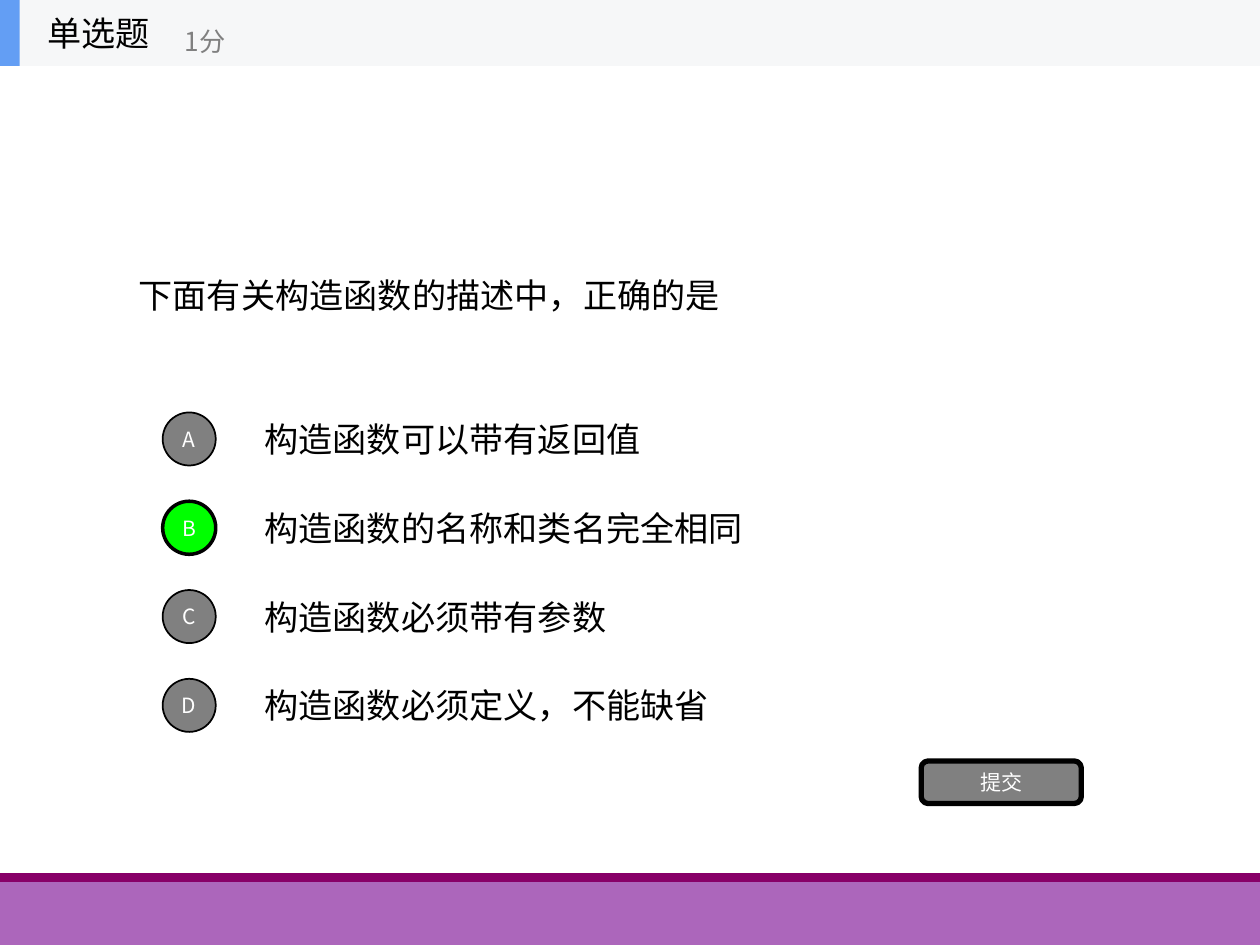
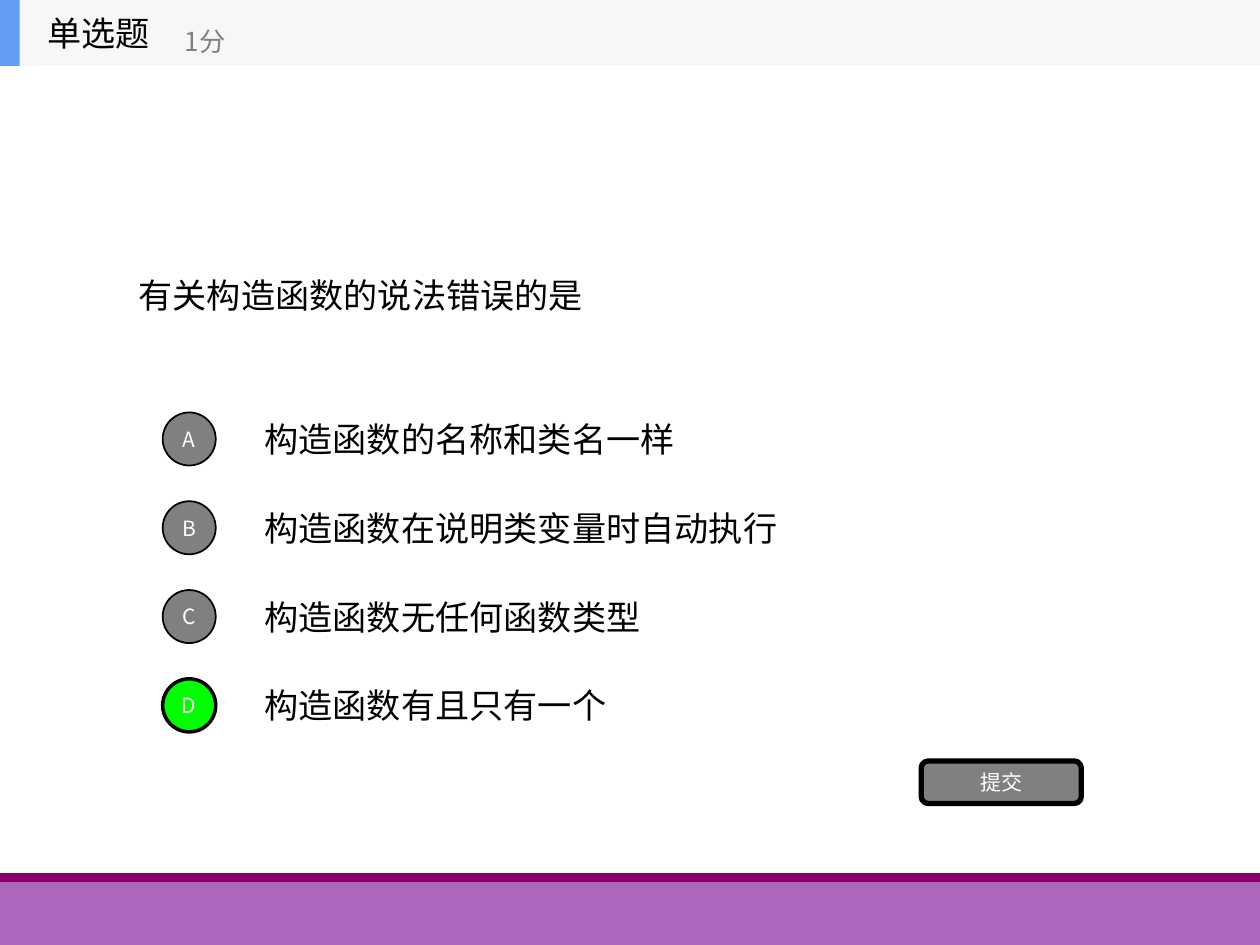
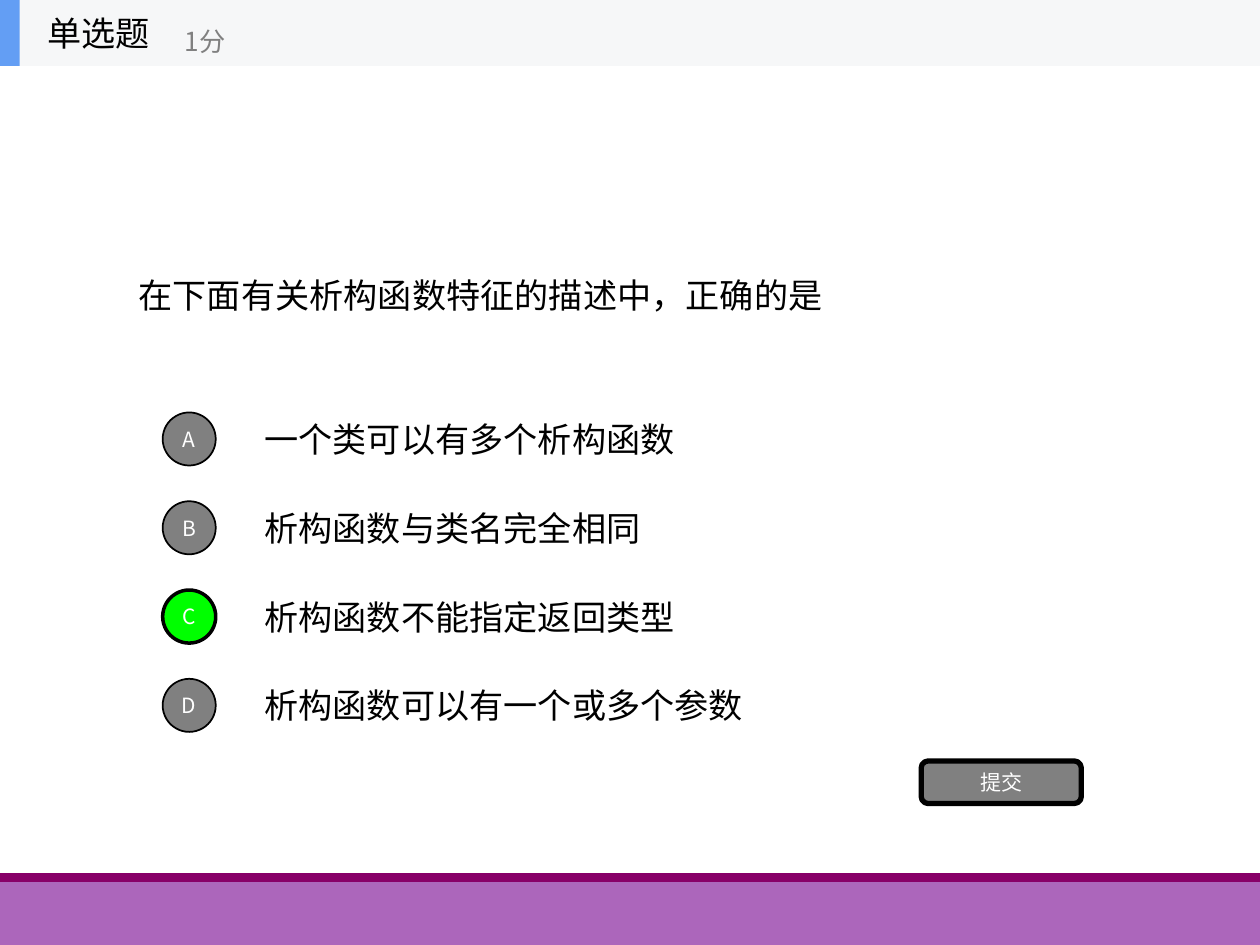
from lxml.etree import SubElement
from pptx import Presentation
from pptx.dml.color import RGBColor
from pptx.enum.shapes import MSO_SHAPE
from pptx.enum.text import MSO_ANCHOR, MSO_AUTO_SIZE, PP_ALIGN
from pptx.oxml.ns import qn
from pptx.util import Cm, Pt

FONT = "Noto Sans CJK SC"
BLACK = RGBColor(0x00, 0x00, 0x00)
WHITE = RGBColor(0xFF, 0xFF, 0xFF)
GREY = RGBColor(0x80, 0x80, 0x80)
GREEN = RGBColor(0x00, 0xFF, 0x00)
BLUE = RGBColor(0x63, 0x9E, 0xF4)
PALE = RGBColor(0xF6, 0xF7, 0xF8)
PURPLE = RGBColor(0xAC, 0x66, 0xBB)
PLUM = RGBColor(0x88, 0x00, 0x68)

WIDTH, HEIGHT = 25.4, 19.05
HEADER_HEIGHT = 1.33
TEXT_SIZE, SCORE_SIZE, BUTTON_SIZE = 19.5, 15, 12
OPTION_TOP, OPTION_HEIGHT, OPTION_PITCH = 8.18, 1.34, 1.79
CIRCLE = 1.07

# Question, options, letter of the right answer
QUESTIONS = [
    ("下面有关构造函数的描述中，正确的是",
     ["构造函数可以带有返回值", "构造函数的名称和类名完全相同",
      "构造函数必须带有参数", "构造函数必须定义，不能缺省"], "B"),
    ("有关构造函数的说法错误的是",
     ["构造函数的名称和类名一样", "构造函数在说明类变量时自动执行",
      "构造函数无任何函数类型", "构造函数有且只有一个"], "D"),
    ("在下面有关析构函数特征的描述中，正确的是",
     ["一个类可以有多个析构函数", "析构函数与类名完全相同",
      "析构函数不能指定返回类型", "析构函数可以有一个或多个参数"], "C"),
]


class Quiz:
    def __init__(self):
        self.prs = Presentation()
        self.prs.slide_width, self.prs.slide_height = Cm(WIDTH), Cm(HEIGHT)
        self.s = None

    def set_text(self, sp, text, size, color, align=PP_ALIGN.LEFT):
        tf = sp.text_frame
        tf.word_wrap = True
        tf.auto_size = MSO_AUTO_SIZE.NONE
        tf.vertical_anchor = MSO_ANCHOR.MIDDLE
        p = tf.paragraphs[0]
        p.alignment = align
        r = p.add_run()
        r.text = text
        r.font.size = Pt(size)
        r.font.name = FONT
        r.font.color.rgb = color
        SubElement(r._r.get_or_add_rPr(), qn("a:ea"), typeface=FONT)

    def shape(self, kind, box, fill, line=0, parent=None):
        """Add a filled shape; line is the outline width in points, 0 for none."""
        shapes = (parent or self.s).shapes
        sp = shapes.add_shape(kind, *map(Cm, box))
        sp.shadow.inherit = False
        sp.fill.solid()
        sp.fill.fore_color.rgb = fill
        if line:
            sp.line.color.rgb = BLACK
            sp.line.width = Pt(line)
        else:
            sp.line.fill.background()
        return sp

    def text(self, box, text, size=TEXT_SIZE, color=BLACK, parent=None):
        sp = (parent or self.s).shapes.add_textbox(*map(Cm, box))
        self.set_text(sp, text, size, color)

    def button(self, kind, box, label, fill, line):
        sp = self.shape(kind, box, fill, line)
        tf = sp.text_frame
        tf.margin_left = tf.margin_right = tf.margin_top = tf.margin_bottom = 0
        self.set_text(sp, label, BUTTON_SIZE, WHITE, PP_ALIGN.CENTER)

    def title(self, text):
        sp = self.s.shapes.title
        sp.left, sp.top, sp.width, sp.height = map(Cm, (2.54, 3.71, 20.32, 4.47))
        self.set_text(sp, text, TEXT_SIZE, BLACK)

    def footer(self):
        self.shape(MSO_SHAPE.RECTANGLE, (0, 17.78, WIDTH, 1.27), PURPLE)
        self.shape(MSO_SHAPE.RECTANGLE, (0, 17.6, WIDTH, 0.18), PLUM)

    def header(self):
        grp = self.s.shapes.add_group_shape()
        for width, fill in ((WIDTH, PALE), (0.4, BLUE)):
            self.shape(MSO_SHAPE.RECTANGLE, (0, 0, width, HEADER_HEIGHT), fill, parent=grp)
        self.text((0.71, 0, 3.96, HEADER_HEIGHT), "单选题", parent=grp)
        self.text((3.48, 0.3, 4.78, 1.07), "1分", SCORE_SIZE, GREY, parent=grp)

    def option(self, row, letter, text, right):
        top = OPTION_TOP + row * OPTION_PITCH
        self.text((5.08, top, 17.78, OPTION_HEIGHT), text)
        circle_top = top + (OPTION_HEIGHT - CIRCLE) / 2
        fill, line = (GREEN, 2) if right else (GREY, 1)
        self.button(MSO_SHAPE.OVAL, (3.28, circle_top, CIRCLE, CIRCLE), letter, fill, line)

    def question(self, question, options, answer):
        self.s = self.prs.slides.add_slide(self.prs.slide_layouts[5])
        self.footer()
        self.title(question)
        for row, (letter, text) in enumerate(zip("ABCD", options)):
            self.option(row, letter, text, letter == answer)
        self.button(MSO_SHAPE.ROUNDED_RECTANGLE, (18.57, 15.34, 3.23, 0.86), "提交", GREY, 3)
        self.header()


def main():
    quiz = Quiz()
    for question, options, answer in QUESTIONS:
        quiz.question(question, options, answer)
    quiz.prs.save("out.pptx")


if __name__ == "__main__":
    main()
